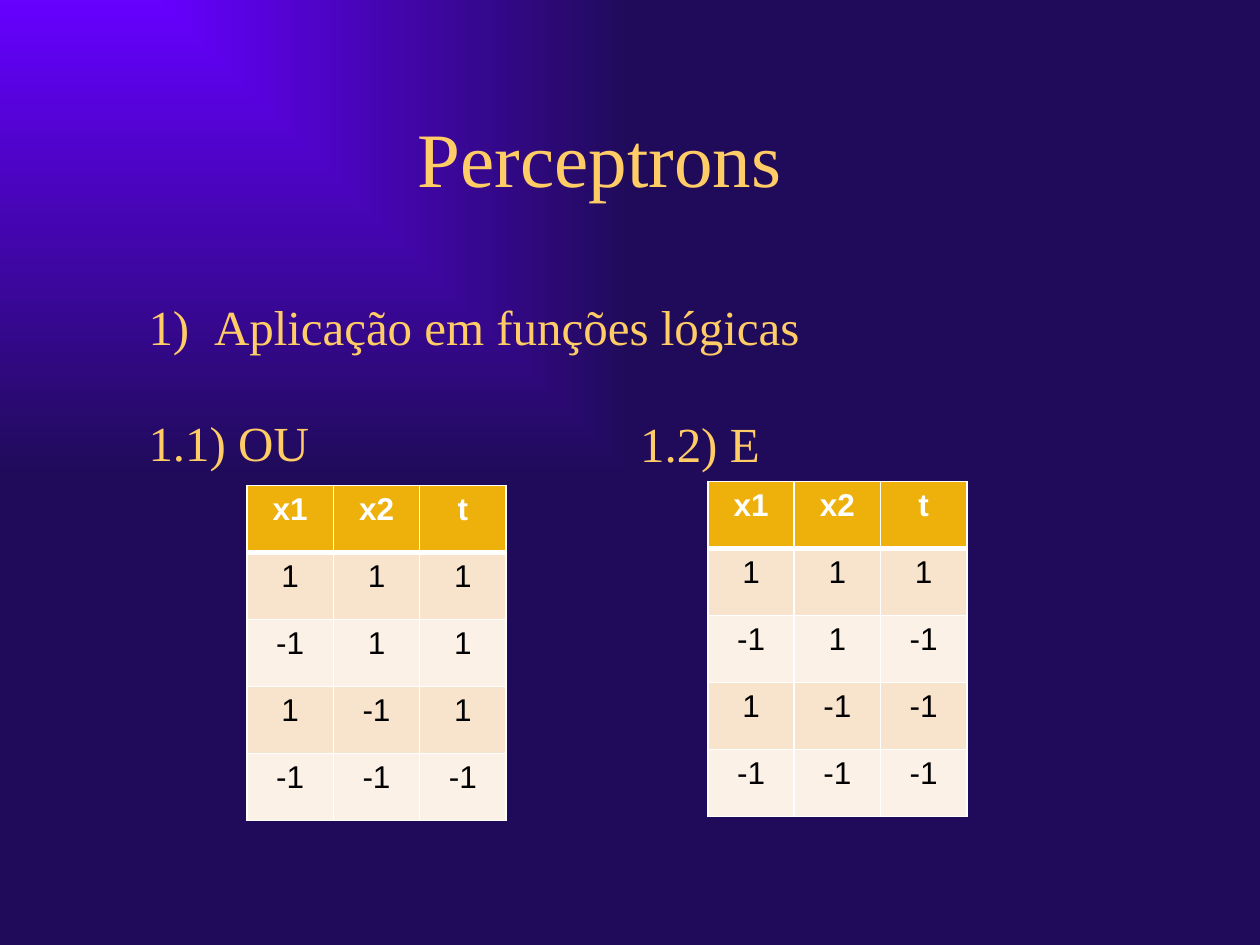
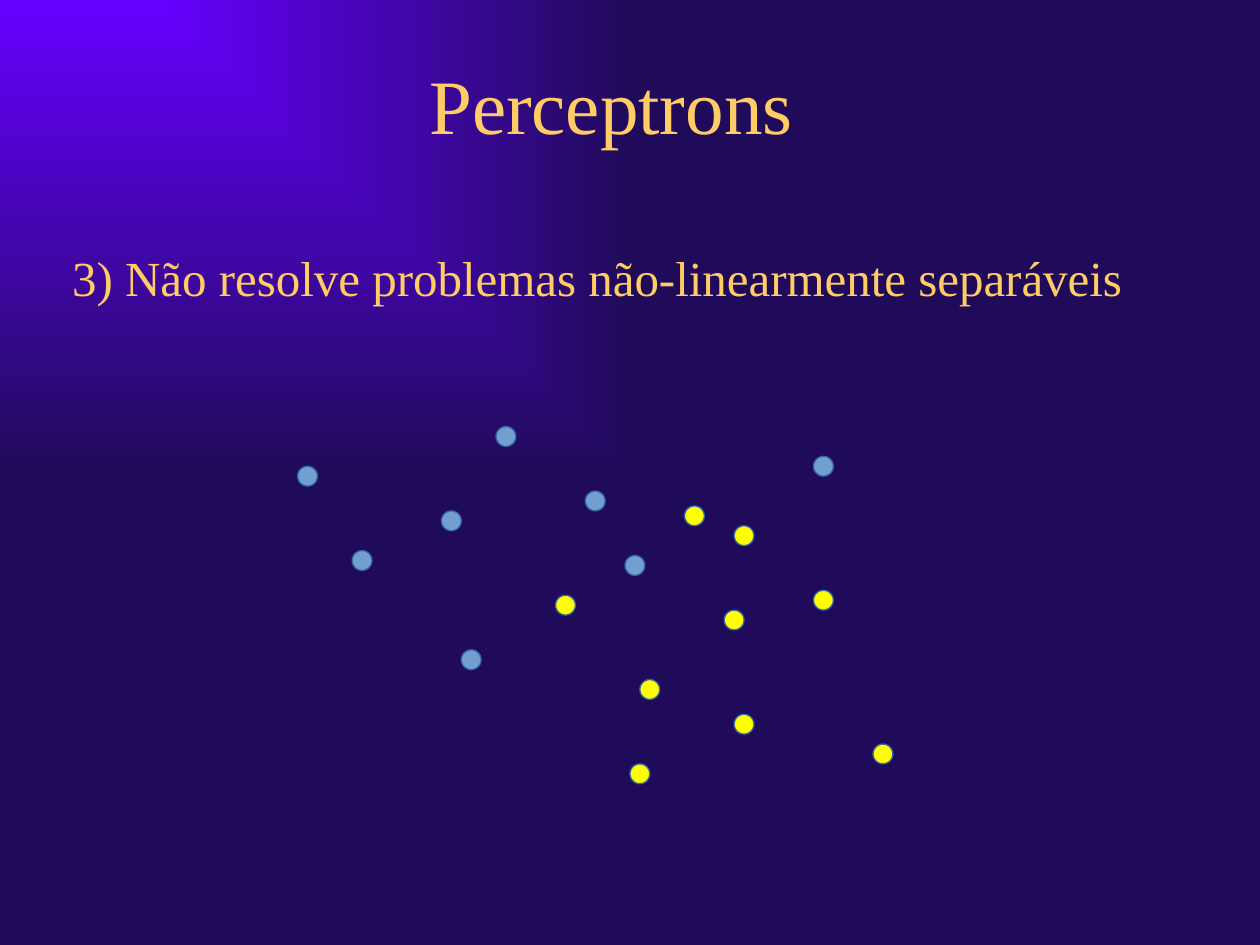
from lxml import etree
from pptx import Presentation
from pptx.dml.color import RGBColor
from pptx.enum import shapes, text
from pptx.oxml import ns
from pptx.util import Cm, Pt

GOLD, WHITE, BLACK = "FFCC66", "FFFFFF", "000000"
GLOW, NIGHT = "6600FF", "200B5B"
HEADER_FILL, ROW_FILLS = "EEB00B", ("F8E3CC", "FBF1E7")
DOT_EDGE = "3465A4"
SERIF, SANS = "Times New Roman", "Arial"
ONE_BODY, TWO_BODIES = 1, 3

TITLE = "Perceptrons"
LOGIC_TITLE_BOX = (2.74, 2.05, 18.7, 2.2)
LOGIC_BODIES = [
    {"box": (2.74, 5.84, 18, 3.7),
     "lines": [("1)\tAplicação em funções lógicas", 1.32), ("1.1) OU", 0)]},
    {"box": (12.65, 8.2, 6, 1.35), "lines": [("1.2) E", 0)]},
]
LIMIT_TITLE_BOX = (2.97, 1, 18.7, 2.2)
LIMIT_BODIES = [
    {"box": (1.2, 4.86, 23.4, 1.35),
     "lines": [("3) Não resolve problemas não-linearmente separáveis", 0)]},
]
LINE_GAP = 33

INPUT_NAMES, TARGET_NAME = ("x1", "x2"), "t"
INPUTS = [(1, 1), (-1, 1), (1, -1), (-1, -1)]
TRUTH_TABLES = [
    {"left": 4.98, "top": 9.79, "targets": (1, 1, 1, -1)},
    {"left": 14.27, "top": 9.71, "targets": (1, -1, -1, -1)},
]
COLUMN_WIDTH, ROW_HEIGHT = 1.74, 1.35

DOT_SIZE = 0.4
CLASSES = {
    "729FCF": [(10, 8.6), (7.1, 11.1), (9.3, 13.1), (8.9, 10.3), (11.8, 9.9),
               (6, 9.4), (12.6, 11.2), (16.4, 9.2)],
    "FFFF00": [(14.8, 10.6), (14.6, 12.3), (13.8, 10.2), (12.7, 15.4), (17.6, 15),
               (16.4, 11.9), (14.8, 14.4), (11.2, 12), (12.9, 13.7)],
}


def colour(value):
    return RGBColor.from_string(value)


def add_xml(parent, tag, **attributes):
    return etree.SubElement(parent, ns.qn(tag), attributes)


def write(paragraph, content, size=28, font=SERIF, color=GOLD, bold=False,
          align=text.PP_ALIGN.LEFT, before=0, hanging=0):
    paragraph.text = content
    paragraph.alignment = align
    paragraph.space_before = Pt(before)
    properties = paragraph._p.get_or_add_pPr()
    properties.set("marL", str(Cm(hanging)))
    properties.set("indent", str(Cm(-hanging)))
    add_xml(properties, "a:buNone")
    paragraph.font.size = Pt(size)
    paragraph.font.name = font
    paragraph.font.bold = bold
    paragraph.font.color.rgb = colour(color)


def place(shape, left, top, width, height):
    shape.left, shape.top = Cm(left), Cm(top)
    shape.width, shape.height = Cm(width), Cm(height)
    shape.text_frame.auto_size = text.MSO_AUTO_SIZE.NONE


def paint_master(master):
    fill = master.background.fill
    fill.gradient()
    for stop, shade in zip(fill.gradient_stops, (GLOW, NIGHT)):
        stop.color.rgb = colour(shade)
    gradient = master.element.find(".//" + ns.qn("a:gradFill"))
    gradient.remove(gradient.find(ns.qn("a:lin")))
    focus = add_xml(gradient, "a:path")
    focus.set("path", "rect")
    add_xml(focus, "a:fillToRect", l="0", t="0", r="100000", b="100000")


def add_slide(deck, layout, title_box, bodies):
    slide = deck.slides.add_slide(deck.slide_layouts[layout])
    title, *body_holders = slide.placeholders
    place(title, *title_box)
    title.text_frame.vertical_anchor = text.MSO_ANCHOR.MIDDLE
    write(title.text_frame.paragraphs[0], TITLE, size=44, align=text.PP_ALIGN.CENTER)
    for holder, body in zip(body_holders, bodies):
        place(holder, *body["box"])
        frame = holder.text_frame
        for number, (line, hanging) in enumerate(body["lines"]):
            paragraph = frame.add_paragraph() if number else frame.paragraphs[0]
            write(paragraph, line, before=LINE_GAP if number else 0, hanging=hanging)
    return slide


def border(cell, **widths):
    properties = cell._tc.get_or_add_tcPr()
    for side, width in widths.items():
        line = add_xml(properties, "a:ln" + side, w=str(Pt(width)))
        add_xml(add_xml(line, "a:solidFill"), "a:srgbClr", val=WHITE)


def add_truth_table(slide, left, top, targets):
    rows = [(*INPUT_NAMES, TARGET_NAME)]
    rows += [(*pair, target) for pair, target in zip(INPUTS, targets)]
    columns = len(rows[0])
    table = slide.shapes.add_table(len(rows), columns, Cm(left), Cm(top),
                                   Cm(COLUMN_WIDTH * columns),
                                   Cm(ROW_HEIGHT * len(rows))).table
    for r, values in enumerate(rows):
        header = r == 0
        for c, value in enumerate(values):
            cell = table.cell(r, c)
            border(cell, L=0.96, R=0.96, T=3 if r == 1 else 0.96, B=3 if header else 0.96)
            cell.fill.solid()
            cell.fill.fore_color.rgb = colour(HEADER_FILL if header else ROW_FILLS[(r - 1) % 2])
            write(cell.text_frame.paragraphs[0], str(value), size=18, font=SANS,
                  color=WHITE if header else BLACK, bold=header,
                  align=text.PP_ALIGN.CENTER)


def add_dot(slide, left, top, fill):
    dot = slide.shapes.add_shape(shapes.MSO_SHAPE.OVAL, Cm(left), Cm(top),
                                 Cm(DOT_SIZE), Cm(DOT_SIZE))
    dot.shadow.inherit = False
    dot.fill.solid()
    dot.fill.fore_color.rgb = colour(fill)
    dot.line.color.rgb = colour(DOT_EDGE)
    dot.line.width = Pt(0)


def main():
    deck = Presentation()
    deck.slide_width, deck.slide_height = Cm(25.4), Cm(19.05)
    paint_master(deck.slide_master)

    logic = add_slide(deck, TWO_BODIES, LOGIC_TITLE_BOX, LOGIC_BODIES)
    for truth_table in TRUTH_TABLES:
        add_truth_table(logic, **truth_table)

    limit = add_slide(deck, ONE_BODY, LIMIT_TITLE_BOX, LIMIT_BODIES)
    for fill, points in CLASSES.items():
        for left, top in points:
            add_dot(limit, left, top, fill)

    deck.save("out.pptx")


if __name__ == "__main__":
    main()
